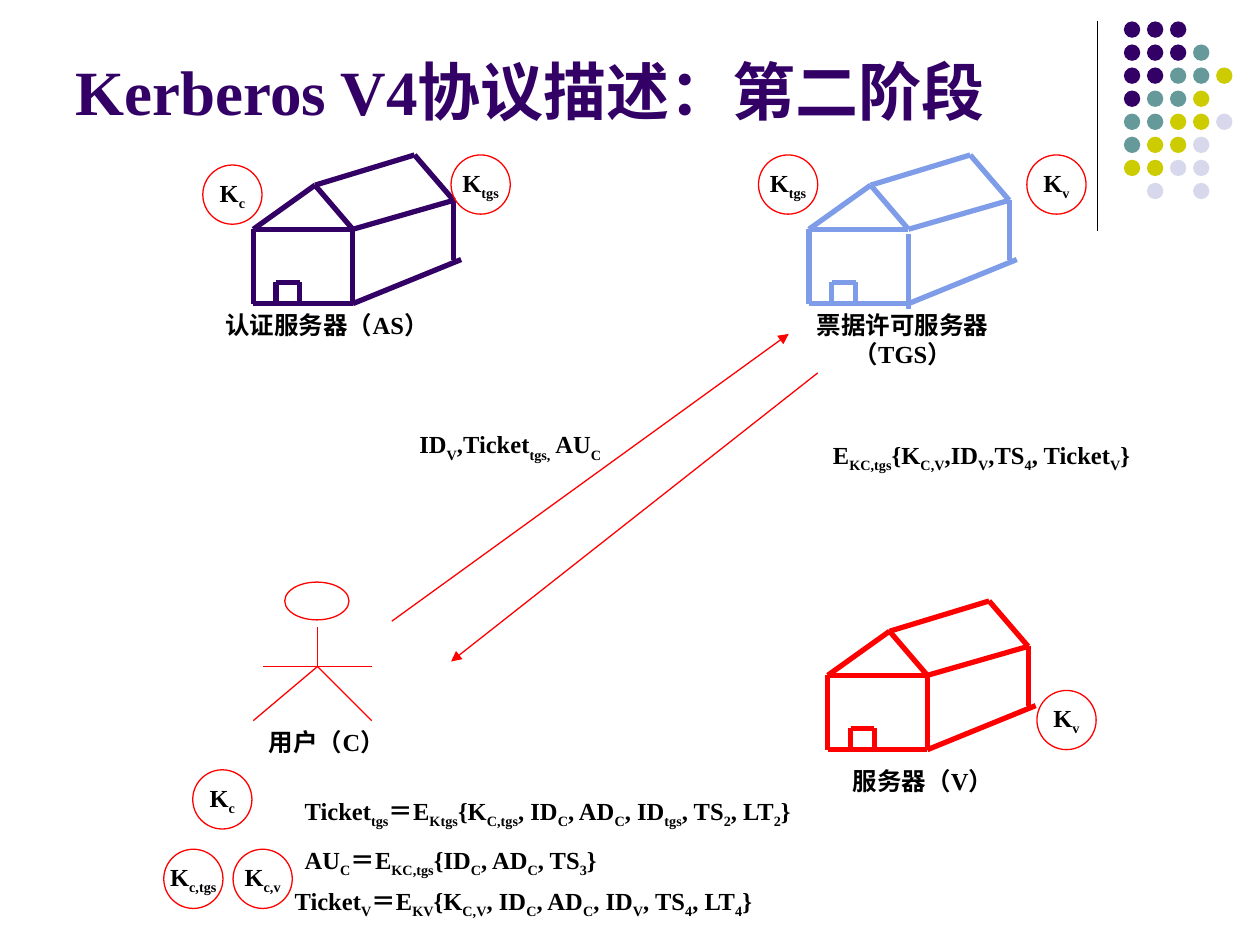
from pptx import Presentation
from pptx.dml.color import RGBColor
from pptx.enum.shapes import MSO_CONNECTOR as Conn, MSO_SHAPE as Kind
from pptx.enum.text import MSO_ANCHOR as Anchor, MSO_AUTO_SIZE as Fit, PP_ALIGN as Align
from pptx.oxml.ns import qn
from pptx.util import Inches, Pt
from lxml.etree import SubElement

COLS, ROWS = 100, 75
NAVY, BLUE, RED, BLACK = "330066", "7E9CE8", "FF0000", "000000"
DOTS = ["NNN", "NNNT", "NNTTY", "NTTY", "TTYYL", "TYYL", "YYLL", " L L"]
TINTS = {"N": NAVY, "T": "669999", "Y": "CCCC00", "L": "D8D8EC"}

# House corners, in cells from the top left of its frame
SPOTS = {
    "eave": (0, 5.9), "peak": (4.9, 2.4), "front": (7.9, 5.9),
    "ridge": (12.8, 0), "back": (15.9, 3.6), "rear": (15.9, 8.3),
    "base": (0, 11.8), "foot": (7.9, 11.8), "end": (16.5, 8.3),
    "door1": (1.8, 11.8), "door2": (1.8, 10.1),
    "door3": (3.7, 10.1), "door4": (3.7, 11.8),
}
EDGES = [
    "peak eave", "peak front", "eave front", "peak ridge", "ridge back",
    "front back", "eave base", "base foot", "foot end", "back rear",
    "door2 door1", "door2 door3", "door3 door4",
]


def color(code):
    return RGBColor.from_string(code)


def apply(item, style):
    for name, value in style.items():
        setattr(item, name, value)


class Board:
    """Draws on one slide; all lengths are cells of a 100 by 75 grid."""

    font = {"name": "Times New Roman", "bold": True}

    def __init__(self, deck):
        self.wide, self.high = deck.slide_width / COLS, deck.slide_height / ROWS
        self.slide = deck.slides.add_slide(deck.slide_layouts[5])
        self.shapes = self.slide.shapes

    def at(self, *cells):
        """Turns cells, given as x and y in turn, into lengths."""
        return [round(n * (self.high if i % 2 else self.wide))
                for i, n in enumerate(cells)]

    def words(self, frame, text, size=14, ink=BLACK, align=Align.CENTER):
        """Puts text in a frame; parts in square brackets are subscripts."""
        para = frame.paragraphs[0]
        para.alignment = align
        for i, part in enumerate(text.replace("]", "[").split("[")):
            if not part:
                continue
            run = para.add_run()
            run.text = part
            apply(run.font, {**self.font, "size": Pt(size)})
            run.font.color.rgb = color(ink)
            if i % 2:
                run._r.get_or_add_rPr().set("baseline", "-25000")

    def title(self, text, *box):
        shape = self.shapes.title
        apply(shape, dict(zip(("left", "top", "width", "height"), self.at(*box))))
        apply(shape.text_frame, {"vertical_anchor": Anchor.BOTTOM, "auto_size": Fit.NONE})
        self.words(shape.text_frame, text, 36, NAVY, Align.LEFT)

    def label(self, text, x, y, w, h=3.3, align=Align.CENTER):
        frame = self.shapes.add_textbox(*self.at(x, y, w, h)).text_frame
        apply(frame, {"word_wrap": True, "auto_size": Fit.SHAPE_TO_FIT_TEXT})
        self.words(frame, text, align=align)

    def line(self, start, end, ink=RED, width=0.75, arrow=False):
        link = self.shapes.add_connector(Conn.STRAIGHT, *self.at(*start, *end))
        link.line.color.rgb = color(ink)
        link.line.width = Pt(width)
        if arrow:
            SubElement(link.line._get_or_add_ln(), qn("a:tailEnd"), type="triangle")
        SubElement(link._element.spPr, qn("a:effectLst"))

    def oval(self, x, y, w, h, fill=None):
        shape = self.shapes.add_shape(Kind.OVAL, *self.at(x, y, w, h))
        shape.shadow.inherit = False
        if fill:
            shape.fill.solid()
            shape.fill.fore_color.rgb = color(fill)
            shape.line.fill.background()
        else:
            shape.fill.background()
            shape.line.color.rgb = color(RED)
            shape.line.width = Pt(0.75)
        return shape

    def key(self, sub, x, y):
        frame = self.oval(x, y, 4.7, 4.7).text_frame
        apply(frame, {"word_wrap": False, "vertical_anchor": Anchor.MIDDLE})
        self.words(frame, f"K[{sub}]")

    def house(self, x, y, ink, drop=0):
        """Draws a house; drop lowers its front wall."""
        spots = {name: (x + dx, y + dy) for name, (dx, dy) in SPOTS.items()}
        for edge in EDGES:
            start, end = edge.split()
            self.line(spots[start], spots[end], ink, 3)
        wall = [(px, py + drop) for px, py in (spots["front"], spots["foot"])]
        self.line(*wall, ink, 3)

    def user(self, x, y):
        """Draws a stick figure whose hips are at x, y."""
        self.oval(x - 2.6, y - 6.7, 5.1, 3)
        for start, end in [((0, -3.1), (0, 0)), ((0, 0), (-5.1, 4.3)),
                           ((0, 0), (4.3, 4.3)), ((-4.3, 0), (4.3, 0))]:
            self.line((x + start[0], y + start[1]), (x + end[0], y + end[1]))

    def dots(self, x, y, step=1.83, size=1.3):
        for r, row in enumerate(DOTS):
            for c, tint in enumerate(row):
                if tint != " ":
                    self.oval(x + c * step, y + r * step, size, size, TINTS[tint])


def main():
    deck = Presentation()
    deck.slide_width, deck.slide_height = Inches(10), Inches(7.5)
    board = Board(deck)
    board.line((87.1, 1.7), (87.1, 18.3), BLACK)
    board.dots(89.2, 1.7)
    board.title("Kerberos V4协议描述：第二阶段", 5, 1.3, 82.5, 9.4)

    board.house(64.2, 12.3, BLUE, drop=0.4)
    board.house(65.7, 47.7, RED)
    board.house(20.1, 12.3, NAVY)
    board.user(25.2, 52.9)
    for text, x, y in [("票据许可服务器（TGS）", 61.8, 24.1), ("服务器（V）", 63.4, 60.3),
                       ("认证服务器（AS）", 16.1, 24.1), ("用户（C）", 16.1, 57.2)]:
        board.label(text, x, y, 19.7)

    board.line((31.1, 49.3), (62.6, 26.5), arrow=True)
    board.label("ID[V],Ticket[tgs,] AU[C]", 29.5, 33.6, 22)
    board.line((64.9, 29.6), (35.8, 52.5), arrow=True)
    board.label("E[KC,tgs]{K[C,V],ID[V],TS[4], Ticket[V]}", 58.6, 34.4, 38.6)

    for text, x, y, w in [
        ("Ticket[tgs]＝E[Ktgs]{K[C,tgs], ID[C], AD[C], ID[tgs], TS[2], LT[2]}", 23.2, 62.7, 49.6),
        ("AU[C]＝E[KC,tgs]{ID[C], AD[C], TS[3]}", 23.2, 66.6, 30.7),
        ("Ticket[V]＝E[KV]{K[C,V], ID[C], AD[C], ID[V], TS[4], LT[4]}", 22.4, 69.8, 43.3),
    ]:
        board.label(text, x, y, w, align=Align.LEFT)

    for sub, x, y in [("c", 15.3, 61.1), ("c", 16.1, 13.1), ("tgs", 60.2, 12.3),
                      ("v", 82.3, 54.8), ("tgs", 35.8, 12.3), ("v", 81.5, 12.3),
                      ("c,tgs", 13, 67.4), ("c,v", 18.5, 67.4)]:
        board.key(sub, x, y)
    deck.save("out.pptx")


if __name__ == "__main__":
    main()
